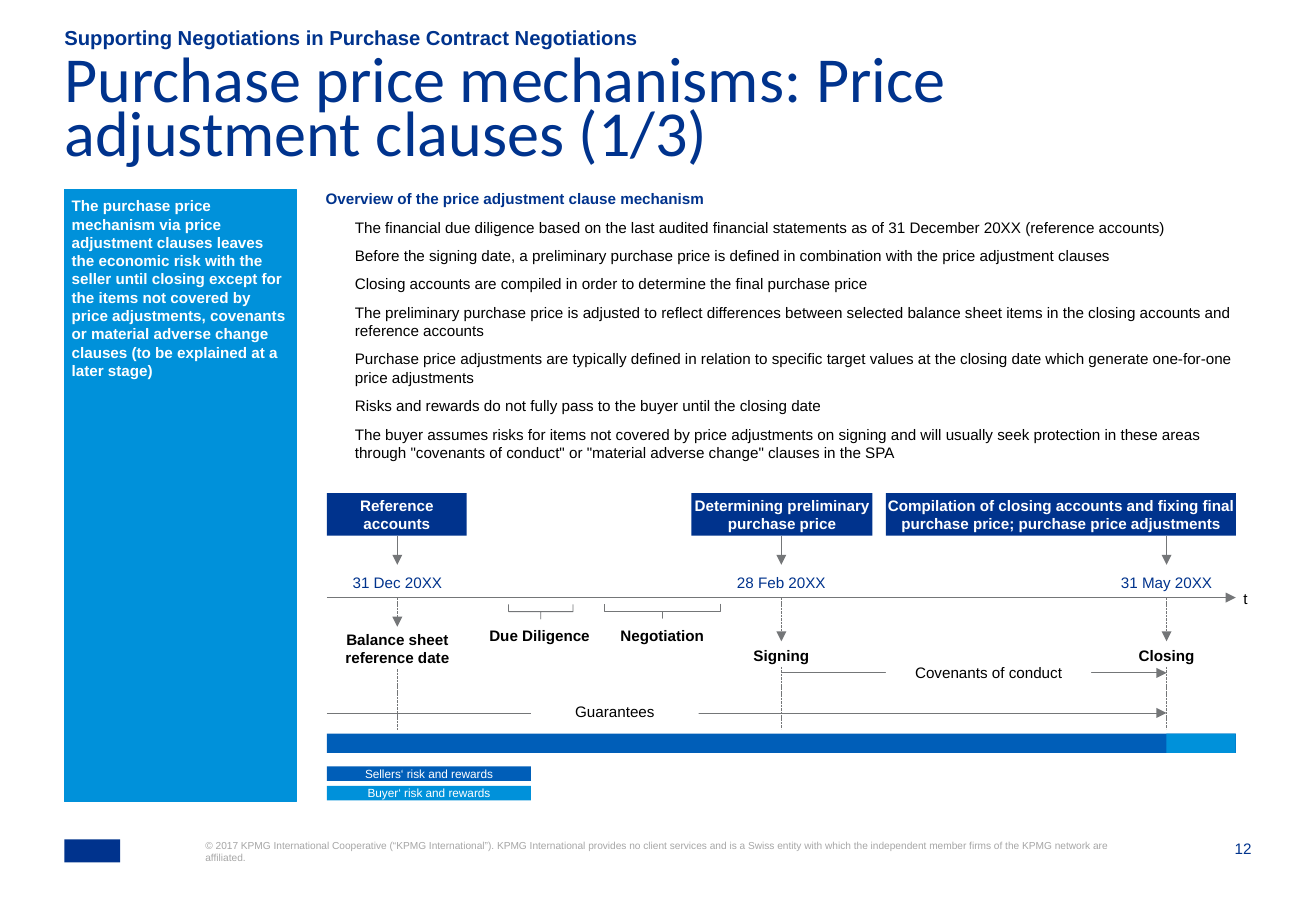
from lxml import etree
from pptx import Presentation
from pptx.dml.color import RGBColor
from pptx.enum.dml import MSO_LINE
from pptx.enum.shapes import MSO_CONNECTOR, MSO_SHAPE
from pptx.enum.text import MSO_ANCHOR, PP_ALIGN
from pptx.oxml.ns import qn
from pptx.util import Inches, Pt

NAVY = RGBColor(0x00, 0x33, 0x8D)
BLUE = RGBColor(0x00, 0x5E, 0xB8)
LIGHT_BLUE = RGBColor(0x00, 0x91, 0xDA)
GREY = RGBColor(0x74, 0x76, 0x78)
PALE_GREY = RGBColor(0xA6, 0xA6, 0xA6)
BLACK = RGBColor(0x00, 0x00, 0x00)
WHITE = RGBColor(0xFF, 0xFF, 0xFF)
LEFT, CENTER, RIGHT = PP_ALIGN.LEFT, PP_ALIGN.CENTER, PP_ALIGN.RIGHT
TOP, MIDDLE, BOTTOM = MSO_ANCHOR.TOP, MSO_ANCHOR.MIDDLE, MSO_ANCHOR.BOTTOM
RECTANGLE, BRACE = MSO_SHAPE.RECTANGLE, MSO_SHAPE.RIGHT_BRACE
STRAIGHT, DASH = MSO_CONNECTOR.STRAIGHT, MSO_LINE.SQUARE_DOT

MARGIN = 0.53
BODY_TOP, BODY_HEIGHT = 1.56, 5.04
FOOTER_TOP = 6.91
CHART_LEFT, CHART_RIGHT = 2.69, 10.17
CHART_WIDTH = CHART_RIGHT - CHART_LEFT
REFERENCE, SIGNING, CLOSING = 3.27, 6.43, 9.6
HEADER_TOP, HEADER_HEIGHT = 4.06, 0.35
AXIS = 4.92
COVENANTS, GUARANTEES = 5.54, 5.87
LINE_HEIGHT = 0.15
BAR_TOP, BAR_HEIGHT = 6.04, 0.16

presentation = Presentation()
presentation.slide_width = Inches(10.83)
presentation.slide_height = Inches(7.5)
slide = presentation.slides.add_slide(presentation.slide_layouts[6])


def add_box(left, top, width, height, text="", color=BLACK, size=9, bold=False,
            fill=None, align=CENTER, anchor=TOP, inset=0, font="Arial"):
    frame = [Inches(length) for length in (left, top, width, height)]
    if fill is None:
        shape = slide.shapes.add_textbox(*frame)
    else:
        shape = slide.shapes.add_shape(RECTANGLE, *frame)
        shape.shadow.inherit = False
        shape.fill.solid()
        shape.fill.fore_color.rgb = fill
        shape.line.fill.background()
    text_frame = shape.text_frame
    text_frame.word_wrap = True
    text_frame.vertical_anchor = anchor
    text_frame.margin_left = text_frame.margin_right = Inches(inset)
    text_frame.margin_top = text_frame.margin_bottom = Inches(inset)
    text_frame.text = text
    for paragraph in text_frame.paragraphs:
        paragraph.alignment = align
        paragraph.font.name = font
        paragraph.font.size = Pt(size)
        paragraph.font.bold = bold
        paragraph.font.color.rgb = color
    return shape


def add_line(x1, y1, x2, y2, arrow=True, dashed=False):
    line = slide.shapes.add_connector(
        STRAIGHT, Inches(x1), Inches(y1), Inches(x2), Inches(y2))
    line.line.color.rgb = GREY
    line.line.width = Pt(0.5)
    if dashed:
        line.line.dash_style = DASH
    if arrow:
        etree.SubElement(line.line._get_or_add_ln(), qn("a:tailEnd"), type="triangle")
    etree.SubElement(line._element.spPr, qn("a:effectLst"))


add_box(MARGIN, 0.22, 9.4, 0.19,
        "Supporting Negotiations in Purchase Contract Negotiations",
        NAVY, 12, True, align=LEFT, anchor=BOTTOM)
title = add_box(MARGIN, 0.49, 9.75, 0.79,
                "Purchase price mechanisms: Price adjustment clauses (1/3)",
                NAVY, 38, align=LEFT, font="Calibri")
title.text_frame.paragraphs[0].line_spacing = 0.7

sidebar = add_box(
    MARGIN, BODY_TOP, 1.91, BODY_HEIGHT,
    "The purchase price mechanism via price adjustment clauses leaves the economic risk "
    "with the seller until closing except for the items not covered by price adjustments, "
    "covenants or material adverse change clauses (to be explained at a later stage)",
    WHITE, bold=True, fill=LIGHT_BLUE, align=LEFT, inset=0.06)
sidebar.line.color.rgb = LIGHT_BLUE
sidebar.line.width = Pt(0.75)

overview = add_box(2.68, BODY_TOP, 7.62, BODY_HEIGHT, "\n".join([
    "Overview of the price adjustment clause mechanism",
    "The financial due diligence based on the last audited financial statements as of "
    "31 December 20XX (reference accounts)",
    "Before the signing date, a preliminary purchase price is defined in combination with "
    "the price adjustment clauses",
    "Closing accounts are compiled in order to determine the final purchase price",
    "The preliminary purchase price is adjusted to reflect differences between selected "
    "balance sheet items in the closing accounts and reference accounts",
    "Purchase price adjustments are typically defined in relation to specific target values "
    "at the closing date which generate one-for-one price adjustments",
    "Risks and rewards do not fully pass to the buyer until the closing date",
    "The buyer assumes risks for items not covered by price adjustments on signing and will "
    "usually seek protection in these areas through \"covenants of conduct\" or \"material "
    "adverse change\" clauses in the SPA",
]), align=LEFT)
heading, *points = overview.text_frame.paragraphs
heading.font.bold = True
heading.font.color.rgb = NAVY
heading.space_after = Pt(6)
for point in points:
    point.space_after = Pt(6)
    point._p.get_or_add_pPr().set("marL", str(Inches(0.24)))

add_line(CHART_LEFT, AXIS, CHART_RIGHT, AXIS)
add_box(10.08, 4.85, 0.34, LINE_HEIGHT, "t")

for left, width, text in [
    (CHART_LEFT, 1.15, "Reference accounts"),
    (5.69, 1.49, "Determining preliminary purchase price"),
    (7.29, 2.88, "Compilation of closing accounts and fixing final purchase price; "
                 "purchase price adjustments"),
]:
    add_box(left, HEADER_TOP, width, HEADER_HEIGHT, text, WHITE, bold=True,
            fill=NAVY, anchor=MIDDLE)

for x, date, arrow_end, drop_top, drop_end in [
    (REFERENCE, "31 Dec 20XX", 5.16, 5.51, 6.02),
    (SIGNING, "28 Feb 20XX", 5.28, 5.49, 6),
    (CLOSING, "31 May 20XX", 5.28, 5.49, 6),
]:
    add_box(x - 0.48, 4.72, 0.96, LINE_HEIGHT, date, NAVY)
    add_line(x, HEADER_TOP + HEADER_HEIGHT, x, 4.65)
    add_line(x, AXIS, x, arrow_end, dashed=True)
    add_line(x, drop_top, x, drop_end, arrow=False, dashed=True)

for center, top, height, text in [
    (REFERENCE, 5.19, 0.3, "Balance sheet reference date"),
    (4.44, 5.16, LINE_HEIGHT, "Due Diligence"),
    (5.45, 5.16, LINE_HEIGHT, "Negotiation"),
    (SIGNING, 5.32, LINE_HEIGHT, "Signing"),
    (CLOSING, 5.32, LINE_HEIGHT, "Closing"),
]:
    add_box(center - 0.5, top, 1, height, text, bold=True)

for left, top, length in [(4.39, 4.77, 0.53), (5.39, 4.55, 0.96)]:
    brace = slide.shapes.add_shape(
        BRACE, Inches(left), Inches(top), Inches(0.12), Inches(length))
    brace.rotation = 90
    brace.adjustments[0] = 0
    brace.adjustments[1] = 0.5
    brace.shadow.inherit = False
    brace.fill.background()
    brace.line.color.rgb = GREY
    brace.line.width = Pt(0.5)

for start, y, left, top, width, text in [
    (CHART_LEFT, GUARANTEES, 4.37, 5.78, 1.38, "Guarantees"),
    (SIGNING, COVENANTS, 7.29, 5.46, 1.69, "Covenants of conduct"),
]:
    add_line(start, y, CLOSING, y)
    add_box(left, top, width, LINE_HEIGHT, text, fill=WHITE)

add_box(CHART_LEFT, BAR_TOP, CHART_WIDTH, BAR_HEIGHT, fill=BLUE)
add_box(CLOSING, BAR_TOP, CHART_RIGHT - CLOSING, BAR_HEIGHT, fill=LIGHT_BLUE)
for top, fill, text in [
    (6.31, BLUE, "Sellers‘ risk and rewards"),
    (6.47, LIGHT_BLUE, "Buyer‘ risk and rewards"),
]:
    add_box(CHART_LEFT, top, 1.68, 0.12, text, WHITE, 7, fill=fill,
            anchor=MIDDLE, inset=0.04)

add_box(MARGIN, FOOTER_TOP, 0.46, 0.19, fill=NAVY)
add_box(1.69, FOOTER_TOP, 7.49, 0.41,
        "© 2017 KPMG International Cooperative (“KPMG International”). KPMG International "
        "provides no client services and is a Swiss entity with which the independent member "
        "firms of the KPMG network are affiliated.", PALE_GREY, 6, align=LEFT)
add_box(9.87, FOOTER_TOP, 0.43, 0.16, "12", NAVY, align=RIGHT)

presentation.save("out.pptx")
